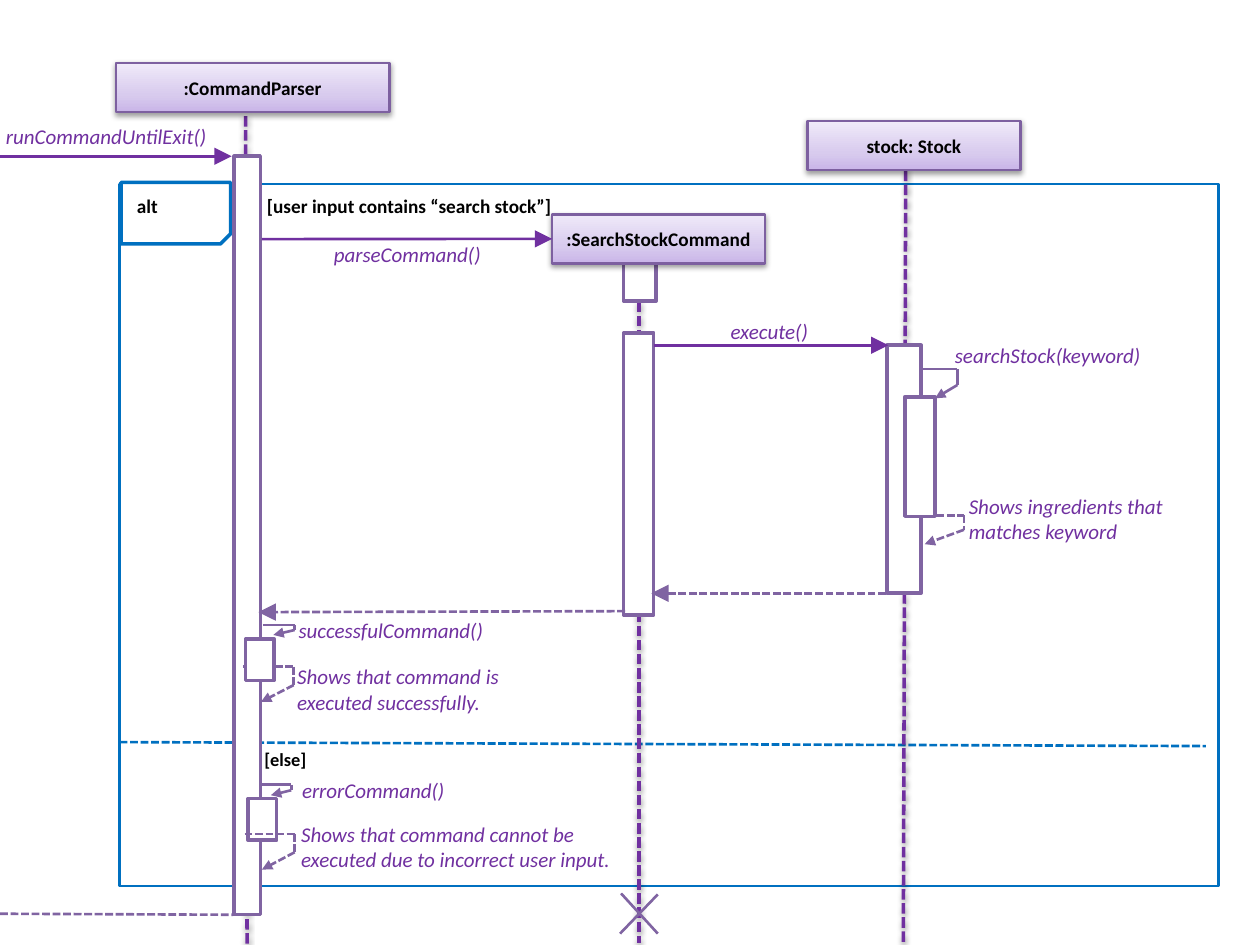
from copy import deepcopy
from itertools import pairwise

from lxml.etree import SubElement
from pptx import Presentation
from pptx.dml.color import RGBColor
from pptx.enum.dml import MSO_LINE_DASH_STYLE as Dash
from pptx.enum.shapes import MSO_CONNECTOR as Link, MSO_SHAPE as Shape
from pptx.enum.text import MSO_ANCHOR as Anchor, PP_ALIGN as Align
from pptx.oxml.ns import qn
from pptx.util import Cm, Pt

BLUE, PURPLE, VIOLET = "0070C0", "7030A0", "8064A2"
HEAD_LINE, WHITE, BLACK = "7D60A0", "FFFFFF", "000000"
HEAD_STOPS = [(0, "C9B5E8"), (0.35, "D8CBEE"), (1, "F0EAF9")]
BOLD = {"name": "Calibri", "size": Pt(11), "bold": True}
ELSE = {**BOLD, "size": Pt(10.5)}
CALL = {"name": "Calibri", "size": Pt(12), "italic": True}

LIFELINES = [
    ((18.26, 2.87), (18.21, 19)),
    ((12.88, 5.23), (12.88, 19)),
    ((4.95, 2.34), (4.98, 19.02)),
]
ACTIVATIONS = [
    (4.72, 3.15, 0.53, 15.29),
    (12.57, 5.31, 0.66, 0.76),
    (12.57, 6.71, 0.61, 5.69),
    (17.88, 6.96, 0.69, 5),
]
NESTED = [
    (18.24, 8, 0.61, 2.41),
    (4.95, 12.88, 0.58, 0.84),
    (5, 16.1, 0.58, 0.84),
]
HEADS = [
    (":CommandParser", (2.34, 1.27, 5.51, 0.99)),
    ("stock: Stock", (16.28, 2.44, 4.29, 0.99)),
    (":SearchStockCommand", (11.13, 4.32, 4.29, 0.99)),
]
RETURNS = [
    ((17.86, 11.96), (13.13, 11.96), "lg"),
    ((12.6, 12.32), (5.21, 12.34), "lg"),
    ((0, 18.42), (4.7, 18.44), None),
]
HIDDEN_LOOPS = [
    [(18.24, 10.39), (19.43, 10.39), (19.43, 10.68), (18.64, 10.97)],
    [(4.9, 13.44), (5.92, 13.44), (5.92, 13.81), (5.26, 14.15)],
]
TOP_LOOP = [(4.93, 16.81), (5.94, 16.81), (5.94, 17.18), (5.28, 17.53)]
SELF_CALLS = [
    [(18.57, 7.44), (19.3, 7.44), (19.3, 7.76), (18.85, 8.03)],
    [(5.31, 12.6), (5.94, 12.6), (5.94, 12.7), (5.51, 12.8)],
    [(5.26, 15.82), (5.87, 15.82), (5.87, 15.93), (5.46, 16.03)],
]
LABELS = [
    ("runCommandUntilExit()", (-0.13, 2.36, 4.9, 0.76)),
    ("parseCommand()", (6.48, 4.75, 4.9, 0.76)),
    ("execute()", (14.48, 6.3, 2.16, 0.76)),
    ("searchStock(keyword)", (19, 6.78, 4.6, 0.76)),
    ("Shows ingredients that matches keyword", (19.28, 9.83, 4.6, 1.27)),
    ("successfulCommand()", (5.77, 12.32, 4.45, 0.76)),
    ("Shows that command is executed successfully.", (5.74, 13.26, 4.6, 1.27)),
    ("errorCommand()", (5.84, 15.54, 4.45, 0.76)),
    ("Shows that command cannot be executed due to incorrect user input.",
     (5.82, 16.43, 7.04, 1.27)),
]


def rgb(value):
    """Turn a hex string into a colour."""
    return RGBColor.from_string(value)


def lengths(values):
    """Turn centimetre numbers into lengths."""
    return [Cm(value) for value in values]


def cast_shadow(effects):
    """Add a soft shadow below to an effect list."""
    shadow = SubElement(effects, qn("a:outerShdw"), blurRad="40000", dist="20000",
                        dir="5400000", rotWithShape="0")
    color = SubElement(shadow, qn("a:srgbClr"), val=BLACK)
    SubElement(color, qn("a:alpha"), val="38000")


def write(shape, text, style, color):
    """Write one formatted paragraph into a shape and return it."""
    shape.text_frame.word_wrap = True
    para = shape.text_frame.paragraphs[0]
    span = para.add_run()
    span.text = text
    for name, value in style.items():
        setattr(span.font, name, value)
    span.font.color.rgb = rgb(color)
    return para


def add_text(page, text, place, style, color, anchor=Anchor.TOP):
    """Add a wrapped text box and return its paragraph."""
    box = page.shapes.add_textbox(*lengths(place))
    box.text_frame.vertical_anchor = anchor
    return write(box, text, style, color)


def add_box(page, place, color, width=2, kind=Shape.RECTANGLE):
    """Add a white outlined shape without shadow."""
    box = page.shapes.add_shape(kind, *lengths(place))
    box.shadow.inherit = False
    box.fill.solid()
    box.fill.fore_color.rgb = rgb(WHITE)
    box.line.color.rgb = rgb(color)
    box.line.width = Pt(width)
    return box


def add_head(page, text, place):
    """Add a shaded participant box with its name."""
    head = add_box(page, place, HEAD_LINE, 1.5)
    head.fill.gradient()
    head.fill.gradient_angle = 90
    first = head.fill.gradient_stops[0]._gs
    first.addnext(deepcopy(first))
    for stop, (position, color) in zip(head.fill.gradient_stops, HEAD_STOPS):
        stop.position = position
        stop.color.rgb = rgb(color)
    cast_shadow(head._element.spPr.find(qn("a:effectLst")))
    head.text_frame.vertical_anchor = Anchor.MIDDLE
    for side in ("left", "top", "right", "bottom"):
        setattr(head.text_frame, f"margin_{side}", Cm(0.25))
    write(head, text, BOLD, BLACK).alignment = Align.CENTER
    return head


def add_line(parent, start, end, color, width=1.5, dashed=False, arrow=None, shadow=False):
    """Add a straight line, with an arrowhead of the given size at its end."""
    line = parent.shapes.add_connector(Link.STRAIGHT, *lengths(start + end))
    line.line.color.rgb = rgb(color)
    line.line.width = Pt(width)
    if dashed:
        line.line.dash_style = Dash.SQUARE_DOT
    if arrow:
        SubElement(line.line._get_or_add_ln(), qn("a:tailEnd"),
                   type="triangle", w=arrow, len=arrow)
    effects = SubElement(line._element.spPr, qn("a:effectLst"))
    if shadow:
        cast_shadow(effects)
    return line


def add_loop(page, points, dashed=False):
    """Add a grouped call that runs out and back to its own lifeline."""
    group = page.shapes.add_group_shape()
    for start, end in pairwise(points):
        add_line(group, start, end, VIOLET, dashed=dashed,
                 arrow="med" if end == points[-1] else None)


def add_alternatives(page):
    """Add the alt frame with its guards and divider."""
    add_box(page, (2.41, 3.71, 22.15, 14.15), BLUE, 1.5)
    tag = add_box(page, (2.44, 3.68, 2.21, 1.24), BLUE, kind=Shape.SNIP_1_RECTANGLE)
    tag._element.spPr.xfrm.set("flipV", "1")
    para = add_text(page, "alt\t[user input contains “search stock”]",
                    (2.51, 3.71, 21.77, 0.89), BOLD, BLACK, Anchor.MIDDLE)
    tabs = SubElement(para._p.get_or_add_pPr(), qn("a:tabLst"))
    SubElement(tabs, qn("a:tab"), pos=str(Cm(2.62)), algn="l")
    add_text(page, "[else]", (5.08, 14.66, 1.78, 1.27), ELSE, BLACK, Anchor.MIDDLE)
    add_line(page, (2.41, 14.96), (24.31, 15.04), BLUE, dashed=True)


def main():
    """Build the sequence diagram."""
    deck = Presentation()
    deck.slide_width, deck.slide_height = Cm(25.4), Cm(19.05)
    page = deck.slides.add_slide(deck.slide_layouts[6])
    add_alternatives(page)
    for start, end in LIFELINES:
        add_line(page, start, end, PURPLE, 2, dashed=True, shadow=True)
    for place in ACTIVATIONS:
        add_box(page, place, VIOLET)
    heads = [add_head(page, text, place) for text, place in HEADS]
    add_line(page, (0, 3.15), (4.67, 3.15), PURPLE, arrow="lg")
    parse_call = add_line(page, (5.28, 4.82), (11.13, 4.82), PURPLE, arrow="lg")
    parse_call.end_connect(heads[-1], 1)
    add_line(page, (13.18, 6.96), (17.91, 6.96), PURPLE, arrow="lg")
    for start, end, arrow in RETURNS:
        add_line(page, start, end, VIOLET, dashed=True, arrow=arrow)
    for points in HIDDEN_LOOPS:
        add_loop(page, points, dashed=True)
    for place in NESTED:
        add_box(page, place, VIOLET)
    for points in SELF_CALLS:
        add_loop(page, points)
    add_loop(page, TOP_LOOP, dashed=True)
    add_line(page, (13.26, 18.82), (12.52, 18.01), VIOLET)
    add_line(page, (13.26, 18.03), (12.5, 18.82), VIOLET)
    for text, place in LABELS:
        add_text(page, text, place, CALL, PURPLE)
    deck.save("out.pptx")


if __name__ == "__main__":
    main()
